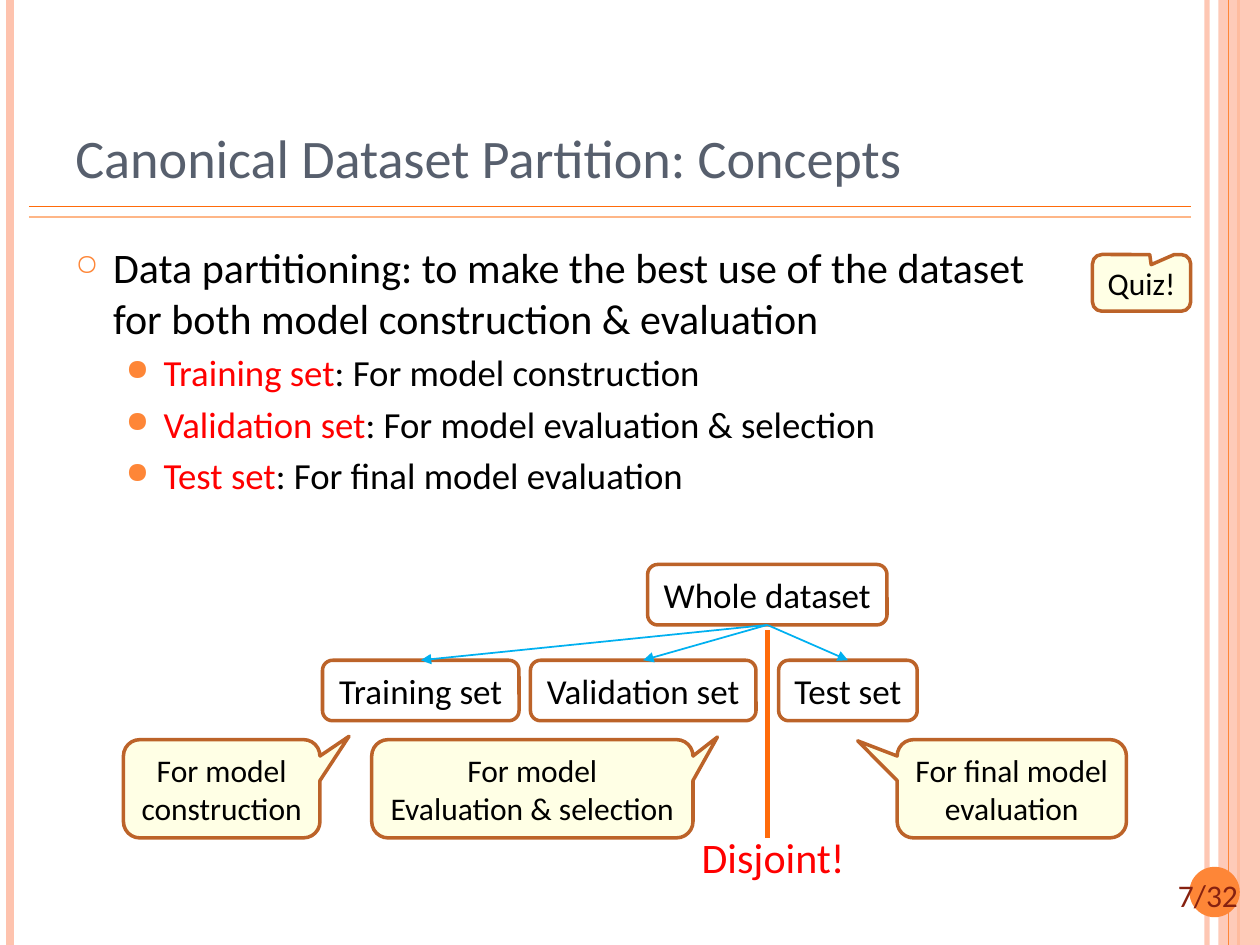
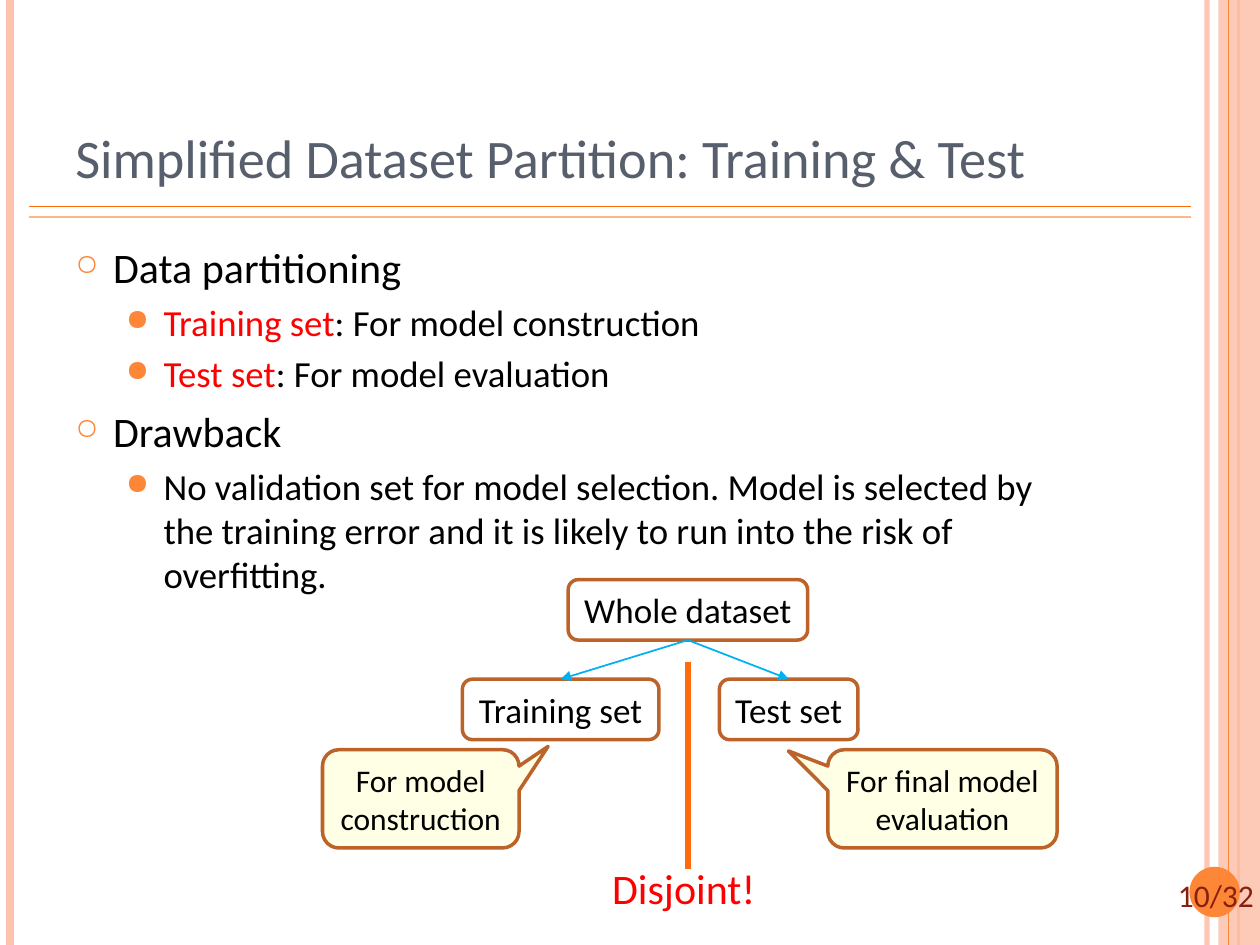
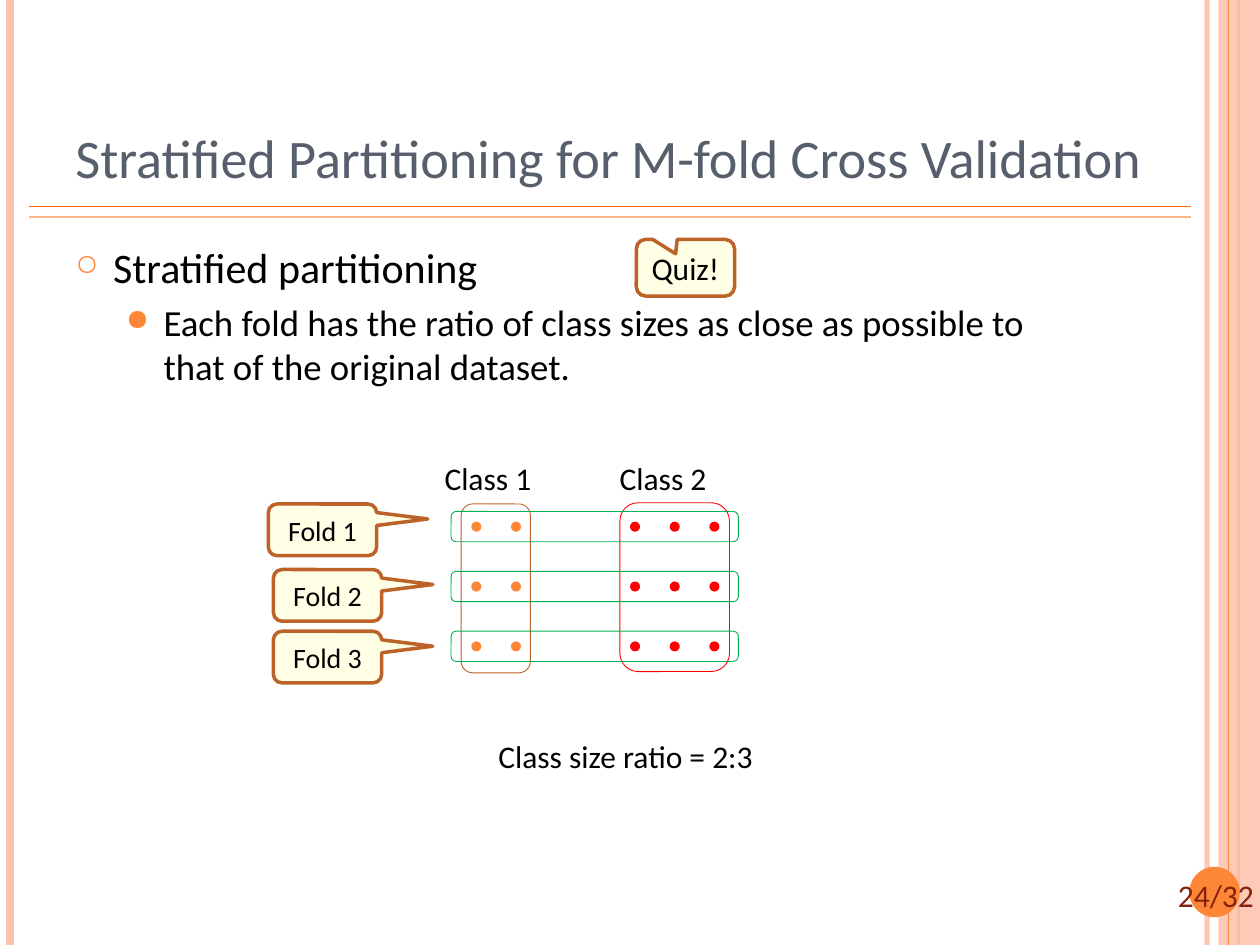
from dataclasses import dataclass

from lxml.etree import SubElement
from pptx import Presentation
from pptx.dml.color import RGBColor
from pptx.enum.shapes import MSO_CONNECTOR, MSO_SHAPE
from pptx.enum.text import MSO_ANCHOR, MSO_AUTO_SIZE, PP_ALIGN
from pptx.oxml.ns import qn
from pptx.util import Inches, Pt

COLUMNS, ROWS = 100, 75
TOP_SITE, BOTTOM_SITE = 0, 2


@dataclass(frozen=True)
class Bullet:
    """Form of one level of the body text."""

    symbol: str
    share: int
    indent: float
    size: float
    space: float


@dataclass(frozen=True)
class Theme:
    """Colours, font and type sizes of the slides."""

    font: str = "Calibri"
    ink: str = "000000"
    heading: str = "575F6D"
    accent: str = "FF0000"
    orange: str = "FE8637"
    strong_orange: str = "FF6B0A"
    light_orange: str = "FEB687"
    band: str = "FEC3AE"
    outline: str = "BC6329"
    note: str = "FFFFCC"
    arrow: str = "00B0F0"
    fold: str = "00B050"
    number: str = "862110"
    title_size: int = 31
    body_size: int = 24
    box_size: int = 20
    note_size: int = 18
    small_size: int = 16
    bullets: tuple = (
        Bullet("○", 70, 0.3, 24, 6),
        Bullet("●", 80, 0.7, 21, 4.2),
    )


THEME = Theme()


def set_alpha(shape, percent):
    """Set the opacity of the first colour of a shape."""
    colour = next(shape._element.spPr.iter(qn("a:srgbClr")))
    SubElement(colour, qn("a:alpha"), val=str(percent * 1000))


def add_bullet(paragraph, level):
    """Give a paragraph the bullet, indent and spacing of its level."""
    bullet = THEME.bullets[level]
    paragraph.level = level
    paragraph.space_before = Pt(bullet.space)
    properties = paragraph._p.get_or_add_pPr()
    properties.set("marL", str(Inches(bullet.indent)))
    properties.set("indent", str(Inches(-0.3)))
    colour = SubElement(properties, qn("a:buClr"))
    SubElement(colour, qn("a:srgbClr"), val=THEME.orange)
    SubElement(properties, qn("a:buSzPct"), val=str(bullet.share * 1000))
    SubElement(properties, qn("a:buChar"), char=bullet.symbol)


def write(frame, text, *, size=THEME.note_size, colour=THEME.ink, align=PP_ALIGN.LEFT,
          anchor=MSO_ANCHOR.TOP, fit=False, levels=None):
    """Fill a text frame; words before a bar take the accent colour."""
    frame.word_wrap = not fit
    frame.auto_size = MSO_AUTO_SIZE.SHAPE_TO_FIT_TEXT if fit else MSO_AUTO_SIZE.NONE
    frame.vertical_anchor = anchor
    for index, line in enumerate(text.split("\n")):
        paragraph = frame.add_paragraph() if index else frame.paragraphs[0]
        paragraph.alignment = align
        line_size = size
        if levels:
            add_bullet(paragraph, levels[index])
            line_size = THEME.bullets[levels[index]].size
        lead, _, rest = line.rpartition("|")
        for part, part_colour in ((lead, THEME.accent), (rest, colour)):
            if part:
                run = paragraph.add_run()
                run.text = part
                run.font.name = THEME.font
                run.font.size = Pt(line_size)
                run.font.color.rgb = RGBColor.from_string(part_colour)


class Deck:
    """Presentation with a grid and a current slide."""

    def __init__(self, theme):
        """Start an empty presentation."""
        self.theme = theme
        self.presentation = Presentation()
        self.presentation.slide_width = Inches(10)
        self.presentation.slide_height = Inches(7.5)
        self.slide = None

    def grid(self, *lengths):
        """Turn alternating columns and rows into slide lengths."""
        steps = (self.presentation.slide_width / COLUMNS, self.presentation.slide_height / ROWS)
        return [round(length * steps[index % 2]) for index, length in enumerate(lengths)]

    def text(self, text, left, top, width, height, **style):
        """Add a text box."""
        box = self.slide.shapes.add_textbox(*self.grid(left, top, width, height))
        write(box.text_frame, text, **style)

    def shape(self, kind, left, top, width, height, fill=None, line=None, weight=2, alpha=100):
        """Add a preset shape."""
        shape = self.slide.shapes.add_shape(kind, *self.grid(left, top, width, height))
        shape.shadow.inherit = False
        if fill:
            shape.fill.solid()
            shape.fill.fore_color.rgb = RGBColor.from_string(fill)
            if alpha < 100:
                set_alpha(shape, alpha)
        else:
            shape.fill.background()
        if line:
            shape.line.color.rgb = RGBColor.from_string(line)
            shape.line.width = Pt(weight)
        else:
            shape.line.fill.background()
        return shape

    def line(self, left, top, right, bottom, colour, weight):
        """Add a straight line."""
        line = self.slide.shapes.add_connector(
            MSO_CONNECTOR.STRAIGHT, *self.grid(left, top, right, bottom))
        line.line.color.rgb = RGBColor.from_string(colour)
        line.line.width = Pt(weight)
        SubElement(line._element.spPr, qn("a:effectLst"))
        return line

    def arrow(self, source, target):
        """Join the bottom of one box to the top of another."""
        arrow = self.line(0, 0, 1, 1, self.theme.arrow, 1)
        arrow.begin_connect(source, BOTTOM_SITE)
        arrow.end_connect(target, TOP_SITE)
        SubElement(arrow.line._get_or_add_ln(), qn("a:tailEnd"), type="triangle")

    def box(self, text, left, top, width):
        """Add a labelled rounded box."""
        box = self.shape(MSO_SHAPE.ROUNDED_RECTANGLE, left, top, width, 4.8,
                         line=self.theme.outline)
        write(box.text_frame, text, size=self.theme.box_size, align=PP_ALIGN.CENTER,
              anchor=MSO_ANCHOR.MIDDLE, fit=True)
        return box

    def callout(self, text, left, top, width, height, tail, size=THEME.note_size):
        """Add a note whose tail ends at shares of its own size."""
        callout = self.shape(MSO_SHAPE.ROUNDED_RECTANGULAR_CALLOUT, left, top, width, height,
                             fill=self.theme.note, line=self.theme.outline, alpha=50)
        callout.adjustments[0], callout.adjustments[1] = tail
        write(callout.text_frame, text, size=size, align=PP_ALIGN.CENTER,
              anchor=MSO_ANCHOR.MIDDLE, fit=True)

    def quiz(self, left, top, tail):
        """Add the quiz mark."""
        self.callout("Quiz!", left, top, 7.8, 4.5, tail)

    def frame(self, number):
        """Draw the bands, rules and page number."""
        theme = self.theme
        edge = self.line(95.8, 0, 95.8, ROWS, theme.band, 3)
        set_alpha(edge, 93)
        self.line(0.8, 0, 0.8, ROWS, theme.band, 4.5)
        self.line(98.3, 0, 98.3, ROWS, theme.orange, 1.5)
        self.shape(MSO_SHAPE.RECTANGLE, 96.7, 0, 3.3, ROWS, fill=theme.band, alpha=87)
        self.line(97.5, 0, 97.5, ROWS, theme.orange, 0.75)
        for row, colour in ((16.4, theme.strong_orange), (17.2, theme.light_orange)):
            self.line(2.3, row, 94.5, row, colour, 1)
        self.shape(MSO_SHAPE.OVAL, 94.4, 68.8, 4, 4, fill=theme.orange)
        self.text(f"{number}/32", 92.5, 69, 9.1, 4, colour=theme.number)

    def new_slide(self, number, title, body, title_width=81.7):
        """Start a slide with its frame, title and levelled body lines."""
        self.slide = self.presentation.slides.add_slide(self.presentation.slide_layouts[6])
        self.frame(number)
        levels, lines = zip(*body)
        self.text("\n".join(lines), 5, 18.7, 81.7, 52.1, levels=levels)
        self.text(title, 5, 3, title_width, 12.5, size=self.theme.title_size,
                  colour=self.theme.heading, anchor=MSO_ANCHOR.BOTTOM)


@dataclass(frozen=True)
class Subset:
    """One part of the dataset and the note on its use."""

    name: str
    width: float
    note: str
    note_width: float
    tail: tuple


TRAINING = Subset("Training set", 15.6, "For model\nconstruction", 15.6, (0.648, -0.534))
VALIDATION = Subset("Validation set", 17.9, "For model\nEvaluation & selection", 25.5,
                    (0.576, -0.527))
TEST = Subset("Test set", 11, "For final model\nevaluation", 18.2, (-0.672, -0.487))


def draw_partition(deck, whole_left, whole_top, set_top, note_top, divider_top, label_left, parts):
    """Draw the split of the whole dataset into disjoint sets."""
    whole_width = 19
    whole = deck.box("Whole dataset", whole_left, whole_top, whole_width)
    for subset, left, note_left in parts:
        deck.arrow(whole, deck.box(subset.name, left, set_top, subset.width))
        deck.callout(subset.note, note_left, note_top, subset.note_width, 7.8, subset.tail)
    middle = whole_left + whole_width / 2
    divider_bottom = divider_top + 16.5
    deck.line(middle, divider_top, middle, divider_bottom, deck.theme.strong_orange, 3)
    deck.text("Disjoint!", label_left, divider_bottom - 1, 13.5, 5, size=deck.theme.body_size,
              colour=deck.theme.accent, fit=True)


def add_concepts(deck):
    """Add the slide on the three-way partition."""
    deck.new_slide(7, "Canonical Dataset Partition: Concepts", [
        (0, "Data partitioning: to make the best use of the dataset for both model "
            "construction & evaluation"),
        (1, "Training set|: For model construction"),
        (1, "Validation set|: For model evaluation & selection"),
        (1, "Test set|: For final model evaluation"),
    ])
    draw_partition(deck, 51.4, 44.8, 52.4, 58.7, 50, 54.7, [
        (TRAINING, 25.6, 9.8), (VALIDATION, 42.1, 29.5), (TEST, 61.8, 71.2)])
    deck.quiz(86.7, 20.2, (0.098, -0.321))


def add_simplified(deck):
    """Add the slide on the two-way partition."""
    deck.new_slide(10, "Simplified Dataset Partition: Training & Test", [
        (0, "Data partitioning"),
        (1, "Training set|: For model construction"),
        (1, "Test set|: For model evaluation"),
        (0, "Drawback"),
        (1, "No validation set for model selection. Model is selected by the training error "
            "and it is likely to run into the risk of overfitting."),
    ])
    draw_partition(deck, 45.1, 46, 53.9, 59.5, 52.5, 47.6, [
        (TRAINING, 36.7, 25.6), (TEST, 57.1, 65.7)])


def add_stratified(deck):
    """Add the slide on folds that keep the class ratio."""
    theme = deck.theme
    deck.new_slide(24, "Stratified Partitioning for M-fold Cross Validation", [
        (0, "Stratified partitioning"),
        (1, "Each fold has the ratio of class sizes as close as possible to that of the "
            "original dataset."),
    ], title_width=89.1)
    fold_step, dot_step = 4.75, 3.15
    classes = [
        ("Class 1", 34.3, 2, 37.4, theme.orange, 36.6, 40, 5.5, theme.outline),
        ("Class 2", 48.2, 3, 50, theme.accent, 49.2, 39.9, 8.7, theme.accent),
    ]
    for name, label_left, count, dot_left, colour, left, top, width, outline in classes:
        for fold in range(3):
            for dot in range(count):
                deck.shape(MSO_SHAPE.OVAL, dot_left + dot * dot_step, 41.4 + fold * fold_step,
                           0.8, 0.8, fill=colour)
        deck.shape(MSO_SHAPE.ROUNDED_RECTANGLE, left, top, width, 13.4, line=outline, weight=0.5)
        deck.text(name, label_left, 35.9, 10.4, 4, fit=True)
    for fold, (left, top) in enumerate([(21.3, 40), (21.7, 45.2), (21.7, 50.1)]):
        deck.shape(MSO_SHAPE.ROUNDED_RECTANGLE, 35.8, 40.6 + fold * fold_step, 22.8, 2.4,
                   line=theme.fold, weight=0.5)
        deck.callout(f"Fold {fold + 1}", left, top, 8.6, 4.1, (0.972, -0.209), theme.small_size)
    deck.text("Class size ratio = 2:3", 38.4, 58, 22.5, 4, align=PP_ALIGN.CENTER, fit=True)
    deck.quiz(50.5, 19, (-0.1, -0.247))


def main():
    """Build the slides and save them."""
    deck = Deck(THEME)
    for add_slide in (add_concepts, add_simplified, add_stratified):
        add_slide(deck)
    deck.presentation.save("out.pptx")


if __name__ == "__main__":
    main()
